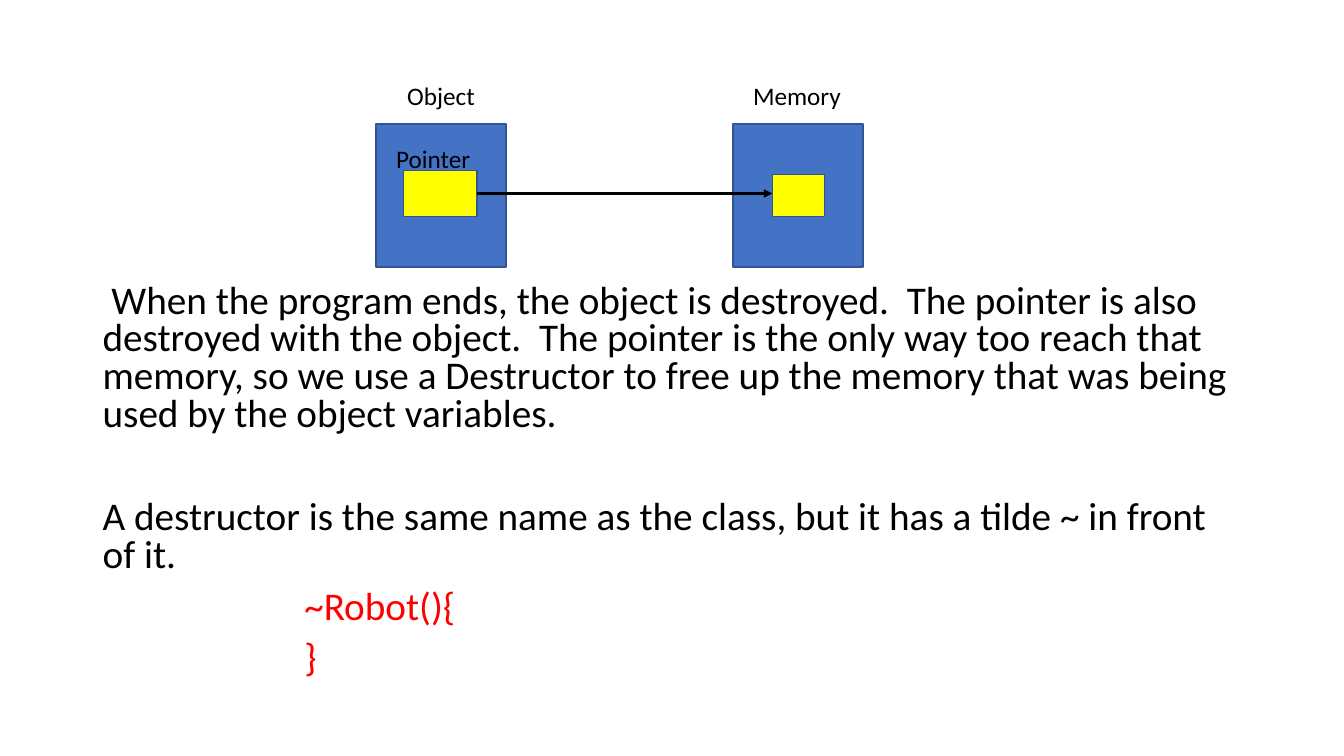
from pptx import Presentation
from pptx import util as u
from pptx.dml.color import RGBColor
from pptx.enum import shapes, text
from pptx.oxml.ns import qn
from lxml import etree

BLUE = RGBColor(0x44, 0x72, 0xC4)
EDGE = RGBColor(0x32, 0x54, 0x91)
YELLOW = RGBColor(0xFF, 0xFF, 0x00)
BLACK = RGBColor(0, 0, 0)
RED = RGBColor(0xFF, 0, 0)


class Page:
    font = "Calibri"

    def __init__(self, slide):
        self.items = slide.shapes

    def rect(self, x, y, w, h, fill):
        box = self.items.add_shape(
            shapes.MSO_SHAPE.RECTANGLE, *map(u.Inches, (x, y, w, h)))
        box.shadow.inherit = False
        box.fill.solid()
        box.fill.fore_color.rgb = fill
        box.line.color.rgb = EDGE
        box.line.width = u.Pt(1)

    def frame(self, x, y, w, h):
        frame = self.items.add_textbox(*map(u.Inches, (x, y, w, h))).text_frame
        frame.word_wrap = True
        return frame

    def style(self, para, size, color=BLACK):
        for run in para.runs:
            run.font.name = self.font
            run.font.size = u.Pt(size)
            run.font.color.rgb = color

    def label(self, x, y, words):
        frame = self.frame(x, y, 1.08, 0.4)
        frame.auto_size = text.MSO_AUTO_SIZE.SHAPE_TO_FIT_TEXT
        frame.text = words
        self.style(frame.paragraphs[0], 18)

    def body(self, x, y, w, h, rows):
        frame = self.frame(x, y, w, h)
        frame.text = "\n".join(row[0] for row in rows)
        for para, (_, gap, left, color) in zip(frame.paragraphs, rows):
            para.line_spacing = 0.8
            para.space_before = u.Pt(gap)
            para._p.get_or_add_pPr().set("marL", str(u.Inches(left)))
            self.style(para, 28, color)

    def arrow(self, x1, y1, x2, y2):
        line = self.items.add_connector(
            shapes.MSO_CONNECTOR.STRAIGHT, *map(u.Inches, (x1, y1, x2, y2)))
        line.line.color.rgb = BLACK
        line.line.width = u.Pt(1.5)
        etree.SubElement(line.line._get_or_add_ln(), qn("a:tailEnd"), type="triangle")
        etree.SubElement(line._element.spPr, qn("a:effectLst"))


deck = Presentation()
deck.slide_width, deck.slide_height = u.Inches(13.33), u.Inches(7.5)
page = Page(deck.slides.add_slide(deck.slide_layouts[6]))

# Explanation and code: words, space before, indent, colour
page.body(0.92, 2.77, 11.5, 3.98, [
    (" When the program ends, the object is destroyed.  The pointer is also "
     "destroyed with the object.  The pointer is the only way too reach that "
     "memory, so we use a Destructor to free up the memory that was being "
     "used by the object variables.", 0, 0, BLACK),
    ("A destructor is the same name as the class, but it has a tilde ~ "
     "in front of it.", 47, 0, BLACK),
    ("~Robot(){", 10, 2, RED),
    ("}", 10, 2, RED),
])

# Object and memory blocks
for left in (3.73, 7.27):
    page.rect(left, 1.23, 1.29, 1.42, BLUE)

# Pointer and the cell it points to
page.rect(4, 1.69, 0.73, 0.46, YELLOW)
page.rect(7.66, 1.73, 0.52, 0.42, YELLOW)

# Labels
for x, y, words in ((3.94, 0.75, "Object"), (7.37, 0.75, "Memory"),
                    (3.83, 1.37, "Pointer")):
    page.label(x, y, words)

page.arrow(4.73, 1.92, 7.66, 1.92)

deck.save("out.pptx")
